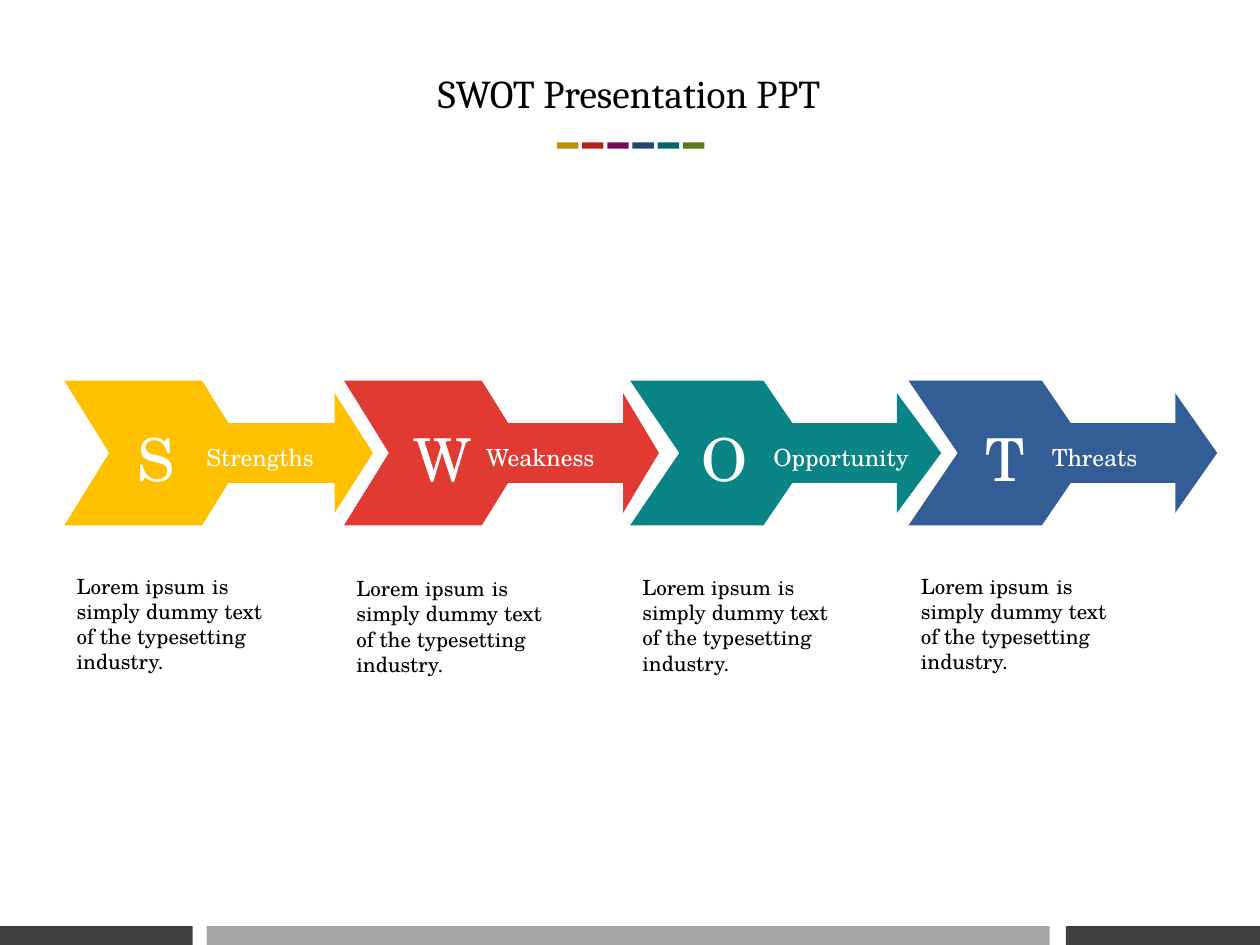
from collections import namedtuple
from dataclasses import dataclass

from pptx import Presentation
from pptx import util as u
from pptx.dml.color import RGBColor
from pptx.enum import shapes, text


@dataclass(frozen=True)
class Theme:
    heading_font: str = "Cambria"
    body_font: str = "TeX Gyre Schola"
    title_size: float = 22.5
    letter_size: float = 33.8
    label_size: float = 13.5
    body_size: float = 12
    ink: str = "000000"
    light: str = "FFFFFF"
    gray: str = "A6A6A6"
    dark: str = "404040"
    strengths: str = "FFC000"
    weakness: str = "E03A33"
    opportunity: str = "0A8485"
    threats: str = "335E95"
    accents: tuple = ("BF9000", "B3211B", "740A59", "264670", "086364", "59791A")


def write_text(frame, words, *, font, size, color, align=None, before=None):
    paragraph = frame.paragraphs[0]
    paragraph.alignment = align
    if before is not None:
        paragraph.space_before = u.Pt(before)
    run = paragraph.add_run()
    run.text = words
    run.font.name = font
    run.font.size = u.Pt(size)
    run.font.color.rgb = RGBColor.from_string(color)


class SlideBuilder:
    def __init__(self, slide, theme):
        self.slide = slide
        self.theme = theme

    def shape(self, kind, box, color, adjustments=()):
        outline = self.slide.shapes.add_shape(kind, *map(u.Inches, box))
        outline.shadow.inherit = False
        outline.fill.solid()
        outline.fill.fore_color.rgb = RGBColor.from_string(color)
        outline.line.fill.background()
        for index, value in enumerate(adjustments):
            outline.adjustments[index] = value

    def bar(self, box, color):
        self.shape(shapes.MSO_SHAPE.RECTANGLE, box, color)

    def textbox(self, words, box, **style):
        frame = self.slide.shapes.add_textbox(*map(u.Inches, box)).text_frame
        frame.word_wrap = True
        frame.auto_size = text.MSO_AUTO_SIZE.SHAPE_TO_FIT_TEXT
        write_text(frame, words, **{"font": self.theme.body_font, **style})


theme = Theme()
deck = Presentation()
deck.slide_width, deck.slide_height = u.Inches(10), u.Inches(7.5)
builder = SlideBuilder(deck.slides.add_slide(deck.slide_layouts[6]), theme)
center = text.PP_ALIGN.CENTER

Step = namedtuple(
    "Step", "label color left arrow_left letter_left label_left body_top notch head"
)
steps = [
    Step("Strengths", theme.strengths, 0.51, 1.24, 0.97, 1.54, 4.5, 0.31, 0.32),
    Step("Weakness", theme.weakness, 2.73, 3.51, 3.18, 3.76, 4.52, 0.31, 0.3),
    Step("Opportunity", theme.opportunity, 5, 5.75, 5.47, 6.04, 4.51, 0.34, 0.37),
    Step("Threats", theme.threats, 7.21, 7.94, 7.71, 8.25, 4.5, 0.34, 0.35),
]
summary = "Lorem ipsum\u00a0is simply dummy text of the typesetting industry."

for step in steps:
    builder.shape(shapes.MSO_SHAPE.CHEVRON, (step.left, 3.02, 1.45, 1.15),
                  step.color, (step.notch,))
    builder.shape(shapes.MSO_SHAPE.RIGHT_ARROW, (step.arrow_left, 3.12, 1.72, 0.95),
                  step.color, (0.5, step.head))

for step in steps:
    builder.textbox(step.label[0], (step.letter_left, 3.3, 0.54, 0.67),
                    size=theme.letter_size, color=theme.light, align=center)
    builder.textbox(step.label, (step.label_left, 3.47, 1.45, 0.33),
                    size=theme.label_size, color=theme.light)
    builder.textbox(summary, (step.left, step.body_top, 1.81, 0.91),
                    size=theme.body_size, color=theme.ink, before=4.5)

for left, width, color in [(1.64, 6.69, theme.gray), (8.46, 1.54, theme.dark),
                           (-0.01, 1.54, theme.dark)]:
    builder.bar((left, 7.35, width, 0.15), color)

builder.textbox("SWOT Presentation PPT", (-0.01, 0.5, 10.01, 0.48),
                font=theme.heading_font, size=theme.title_size,
                color=theme.ink, align=center)

accent_left, accent_pitch = 4.42, 0.2
for index, color in enumerate(theme.accents):
    builder.bar((accent_left + index * accent_pitch, 1.13, 0.17, 0.05), color)

deck.save("out.pptx")
